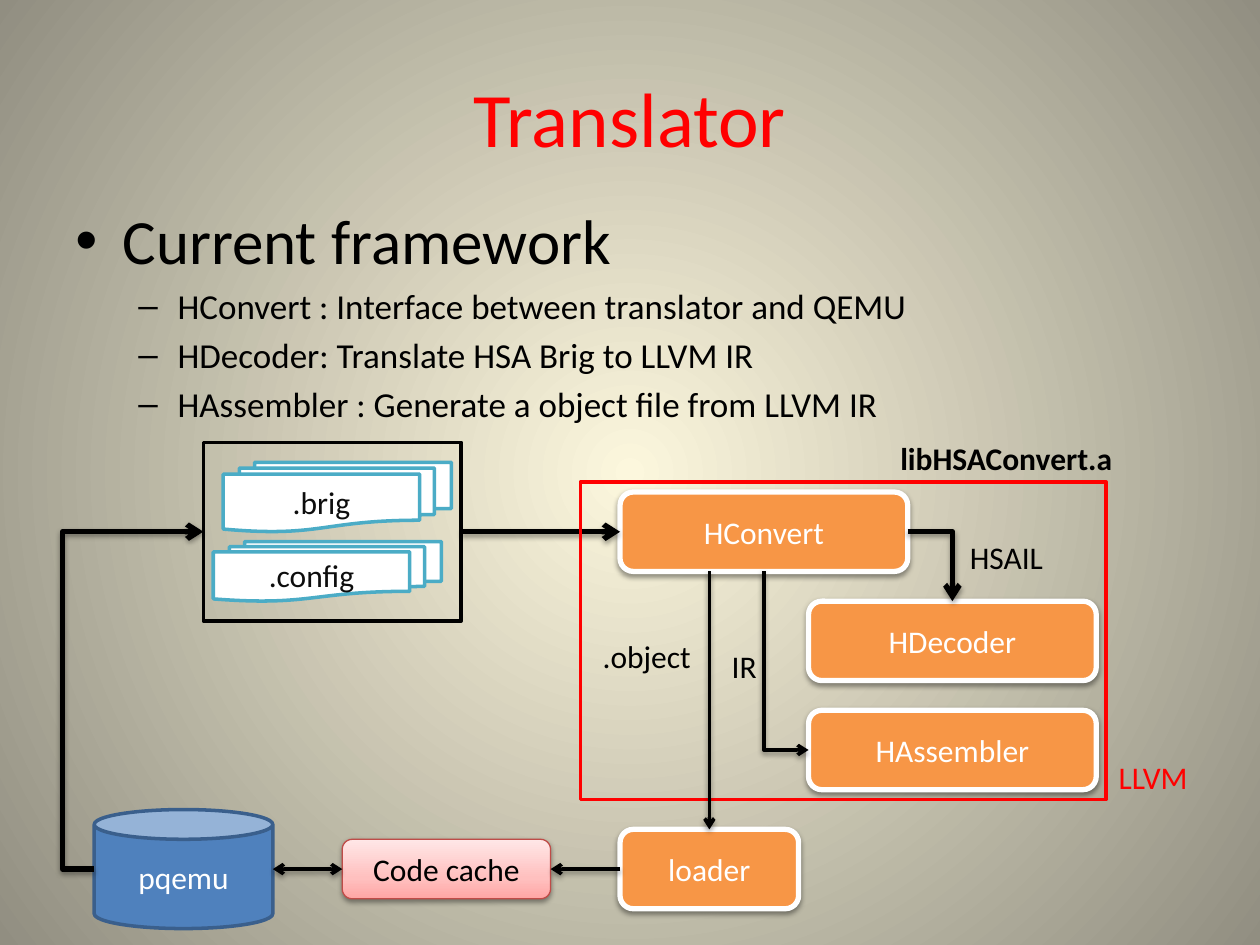
from dataclasses import dataclass

from lxml import etree
from pptx import Presentation
from pptx import util as u
from pptx.dml.color import RGBColor
from pptx.enum import shapes, text
from pptx.oxml.ns import qn


@dataclass(frozen=True)
class Theme:
    font: str = "Calibri"
    title_size: int = 44
    heading_size: int = 36
    bullet_size: int = 20
    label_size: int = 18
    black: str = "000000"
    white: str = "FFFFFF"
    red: str = "FF0000"
    orange: str = "F79646"
    blue: str = "4F81BD"
    blue_edge: str = "3A5F8C"
    teal: str = "4BACC6"
    ink: str = "0D0D0D"
    rose_edge: str = "BF4C48"
    rose: tuple = ((0, "FFA6A5"), (35, "FFC0BF"), (100, "FFE7E7"))
    backdrop: tuple = ((0, "FCF7DD"), (100, "918E81"))


def add_node(parent, tag, **attributes):
    values = {key: str(value) for key, value in attributes.items()}
    return etree.SubElement(parent, qn(tag), values)


def fill_gradient(element, stops, angle=None):
    """Give the gradient in element its stops; without an angle it is radial."""
    gradient = element.find(".//" + qn("a:gradFill"))
    for child in list(gradient):
        gradient.remove(child)
    stop_list = add_node(gradient, "a:gsLst")
    for position, color in stops:
        stop = add_node(stop_list, "a:gs", pos=position * 1000)
        add_node(stop, "a:srgbClr", val=color)
    if angle is None:
        circle = add_node(gradient, "a:path", path="circle")
        add_node(circle, "a:fillToRect", l=50000, t=50000, r=50000, b=50000)
    else:
        add_node(gradient, "a:lin", ang=angle * 60000, scaled=0)


def add_shadow(effects):
    shadow = add_node(effects, "a:outerShdw", blurRad=u.Pt(3.1), dist=u.Pt(1.6),
                      dir=5400000, rotWithShape=0)
    color = add_node(shadow, "a:srgbClr", val="000000")
    add_node(color, "a:alpha", val=38000)


class Page:
    """Draws on one slide; all lengths are centimetres."""

    def __init__(self, deck, theme):
        self.theme = theme
        self.slide = deck.slides.add_slide(deck.slide_layouts[5])
        self.slide.background.fill.gradient()
        fill_gradient(self.slide.element, theme.backdrop)

    def style(self, para, size, color, bold=None):
        font = para.font
        font.name, font.size, font.bold = self.theme.font, u.Pt(size), bold
        font.color.rgb = RGBColor.from_string(color)

    def title(self, words, left, top, width, height):
        box = self.slide.shapes.title
        box.left, box.top, box.width, box.height = map(u.Cm, (left, top, width, height))
        box.text_frame.text = words
        box.text_frame.vertical_anchor = text.MSO_ANCHOR.MIDDLE
        para = box.text_frame.paragraphs[0]
        para.alignment = text.PP_ALIGN.CENTER
        self.style(para, self.theme.title_size, self.theme.red)

    def bullets(self, heading, points, left, top, width, height):
        box = self.slide.shapes.add_textbox(*map(u.Cm, (left, top, width, height)))
        frame = box.text_frame
        frame.word_wrap = True
        for index, words in enumerate([heading, *points]):
            para = frame.paragraphs[0] if index == 0 else frame.add_paragraph()
            para.text = words
            if index == 0:
                mark, margin, hang, size = "•", 0.95, 0.95, self.theme.heading_size
            else:
                mark, margin, hang, size = "–", 2.06, 0.79, self.theme.bullet_size
                para.level = 1
                para.space_before = u.Pt(size * 0.2)
            settings = para._p.get_or_add_pPr()
            settings.set("marL", str(u.Cm(margin)))
            settings.set("indent", str(-u.Cm(hang)))
            add_node(settings, "a:buFont", typeface="Arial")
            add_node(settings, "a:buChar", char=mark)
            self.style(para, size, self.theme.black)

    def label(self, words, left, top, width, color=None, bold=None, wrap=True):
        box = self.slide.shapes.add_textbox(*map(u.Cm, (left, top, width, 1.02)))
        box.text_frame.word_wrap = wrap
        box.text_frame.text = words
        self.style(box.text_frame.paragraphs[0], self.theme.label_size,
                   color or self.theme.black, bold)

    def shape(self, kind, left, top, width, height, line, weight, fill=None,
              words="", color=None, shadow=False):
        box = self.slide.shapes.add_shape(kind, *map(u.Cm, (left, top, width, height)))
        box.shadow.inherit = False
        box.line.color.rgb = RGBColor.from_string(line)
        box.line.width = u.Pt(weight)
        if fill is None:
            box.fill.background()
        elif isinstance(fill, str):
            box.fill.solid()
            box.fill.fore_color.rgb = RGBColor.from_string(fill)
        else:
            box.fill.gradient()
            fill_gradient(box.element.spPr, fill, angle=270)
        if shadow:
            add_shadow(box.element.spPr.find(qn("a:effectLst")))
        if words:
            frame = box.text_frame
            frame.text = words
            frame.vertical_anchor = text.MSO_ANCHOR.MIDDLE
            frame.paragraphs[0].alignment = text.PP_ALIGN.CENTER
            self.style(frame.paragraphs[0], self.theme.label_size, color)
        return box

    def module(self, words, left, top, width=5.8):
        return self.shape(shapes.MSO_SHAPE.ROUNDED_RECTANGLE, left, top, width, 1.6,
                          self.theme.white, 3, self.theme.orange, words,
                          self.theme.white, shadow=True)

    def arrow(self, start, end, weight, bend=None, both=False):
        """Join start to end; start is (x, y) or (shape, side), end is (shape, side).

        bend is "across" or "down" for the first leg of one corner,
        or a number for the place of the middle leg.
        """
        kind = shapes.MSO_CONNECTOR.STRAIGHT if bend is None else shapes.MSO_CONNECTOR.ELBOW
        joined = not isinstance(start[0], (int, float))
        x, y = (0, 0) if joined else map(u.Cm, start)
        line = self.slide.shapes.add_connector(kind, x, y, x, y)
        if joined:
            line.begin_connect(*start)
        line.end_connect(*end)
        properties = line.element.spPr
        geometry = properties.find(qn("a:prstGeom"))
        if bend in ("across", "down"):
            geometry.set("prst", "bentConnector2")
        elif bend is not None:
            add_node(geometry.find(qn("a:avLst")), "a:gd", name="adj1",
                     fmla=f"val {round(bend * 100000)}")
        if bend == "down":
            width, height = line.width, line.height
            line.left += (width - height) // 2
            line.top += (height - width) // 2
            line.width, line.height = height, width
            properties.xfrm.set("rot", "16200000")
            properties.xfrm.set("flipH", "1")
        line.line.color.rgb = RGBColor.from_string(self.theme.black)
        line.line.width = u.Pt(weight)
        outline = line.get_or_add_ln()
        if both:
            add_node(outline, "a:headEnd", type="arrow")
        add_node(outline, "a:tailEnd", type="arrow")
        add_shadow(add_node(properties, "a:effectLst"))


def main():
    theme = Theme()
    preset = shapes.MSO_SHAPE
    top, left, bottom, right = range(4)
    deck = Presentation()
    deck.slide_width, deck.slide_height = u.Cm(25.4), u.Cm(19.05)
    page = Page(deck, theme)

    # Title and bullets
    page.title("Translator", 1.27, 0.76, 22.86, 3.18)
    page.bullets("Current framework",
                 ["HConvert : Interface between translator and QEMU",
                  "HDecoder: Translate HSA Brig to LLVM IR",
                  "HAssembler : Generate a object file from LLVM IR"],
                 1.27, 3.94, 22.86, 12.57)

    # Translator modules, one row apart
    convert, decoder, assembler = [
        page.module(words, x, 9.92 + 2.2 * row) for row, (words, x) in
        enumerate([("HConvert", 12.5), ("HDecoder", 16.3), ("HAssembler", 16.3)])]

    # Input files
    inputs = page.shape(preset.RECTANGLE, 4.1, 8.92, 5.2, 3.6, theme.black, 2)
    for words, x, y, height in [(".brig", 4.5, 9.32, 1.4), (".config", 4.3, 10.92, 1.2)]:
        page.shape(preset.FLOWCHART_MULTIDOCUMENT, x, y, 4.6, height, theme.teal, 2,
                   theme.white, words, theme.ink)

    # Runtime row
    page.shape(preset.CAN, 1.9, 16.32, 3.6, 2.4, theme.blue_edge, 2, theme.blue,
               "pqemu", theme.white)
    cache = page.shape(preset.ROUNDED_RECTANGLE, 6.9, 16.92, 4.2, 1.2, theme.rose_edge,
                       0.75, theme.rose, "Code cache", theme.black, shadow=True)

    # Flow from emulator to modules, with the library frame above it
    page.arrow((1.9, 17.52), (inputs, left), 3, bend=-0.29)
    page.arrow((inputs, right), (convert, left), 3)
    page.arrow((convert, right), (decoder, top), 3, bend="across")
    page.shape(preset.RECTANGLE, 11.7, 9.72, 10.6, 6.4, theme.red, 2)

    # Flow back to the emulator
    page.arrow((convert, bottom), (assembler, left), 2, bend="down")
    loader = page.module("loader", 12.5, 16.72, width=3.6)
    page.arrow((14.3, 11.52), (loader, top), 2)
    page.arrow((loader, left), (cache, right), 2)
    page.arrow((5.5, 17.52), (cache, left), 2, both=True)

    # Labels
    page.label("libHSAConvert.a", 17.9, 8.73, 5.6, bold=True)
    page.label("HSAIL", 19.3, 10.72, 2.8)
    page.label("IR", 14.5, 12.92, 1.2)
    page.label(".object", 11.9, 12.72, 2.6)
    page.label("LLVM", 22.3, 15.15, 2.2, color=theme.red, wrap=False)

    deck.save("out.pptx")


if __name__ == "__main__":
    main()
